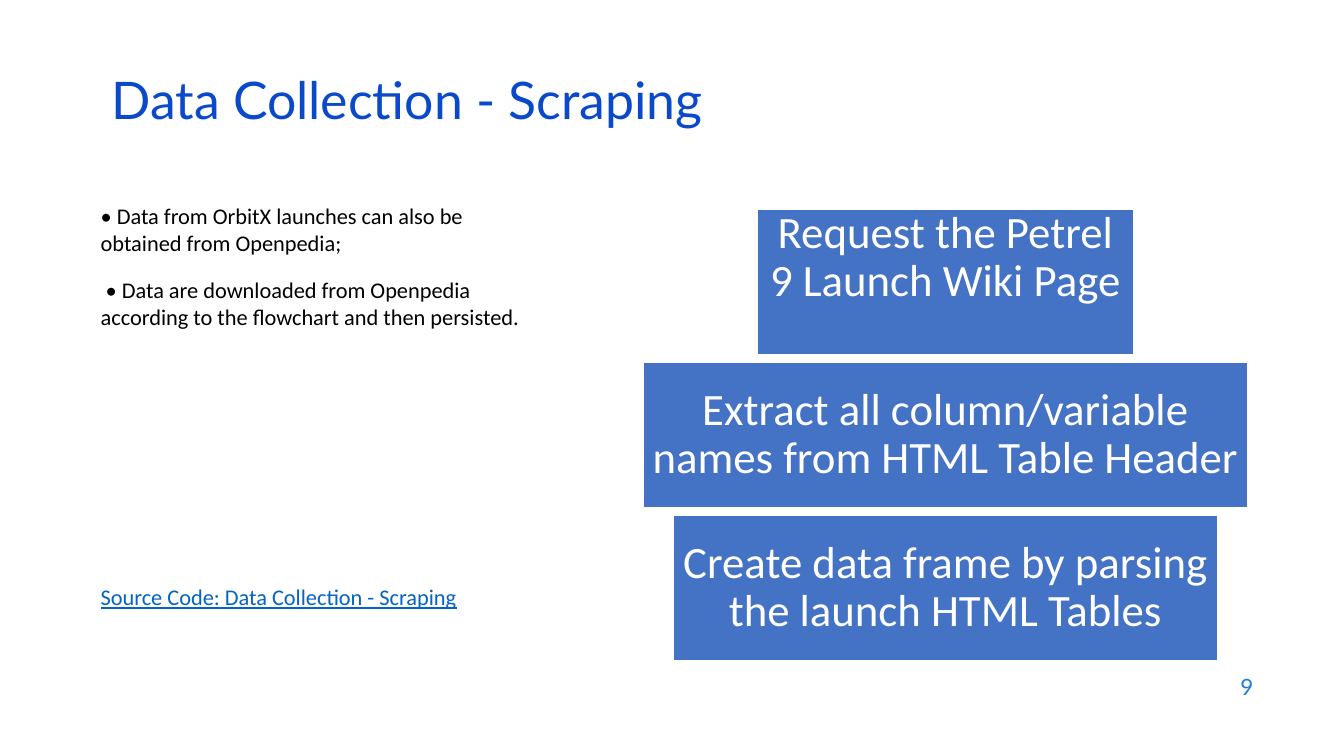
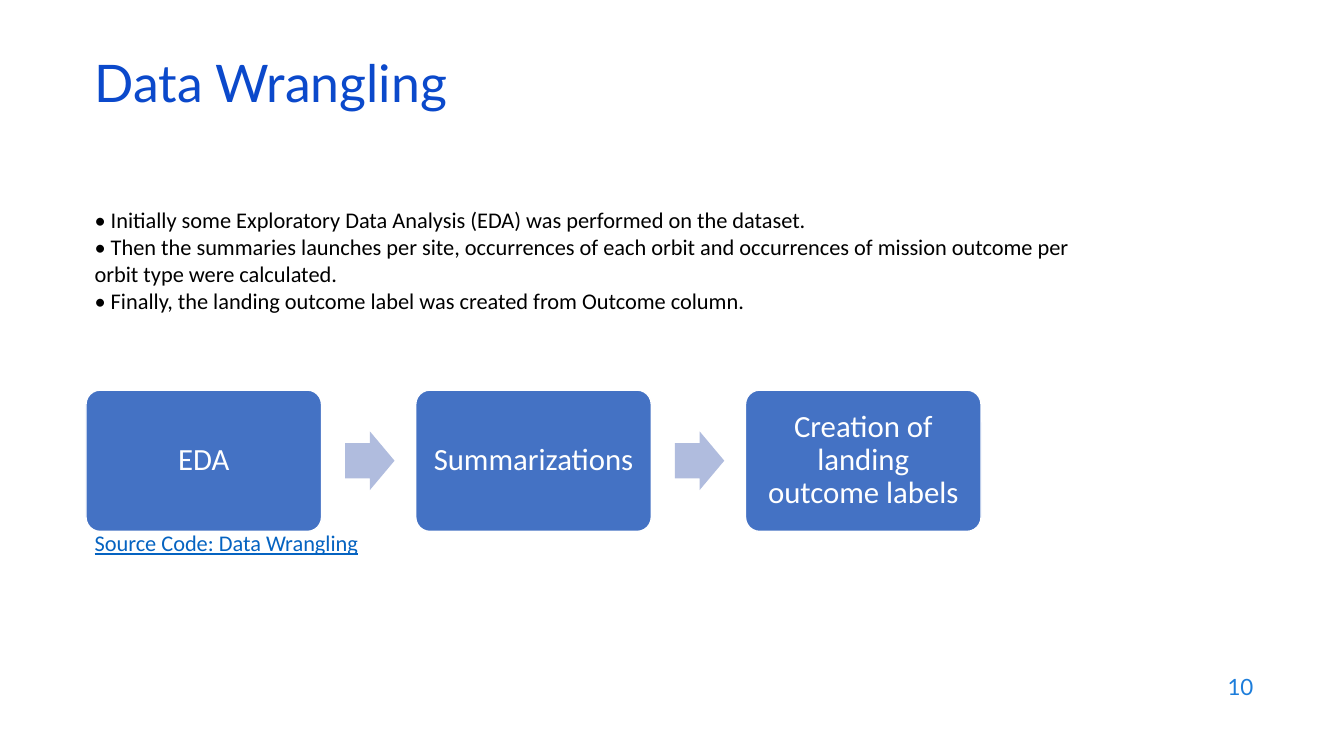
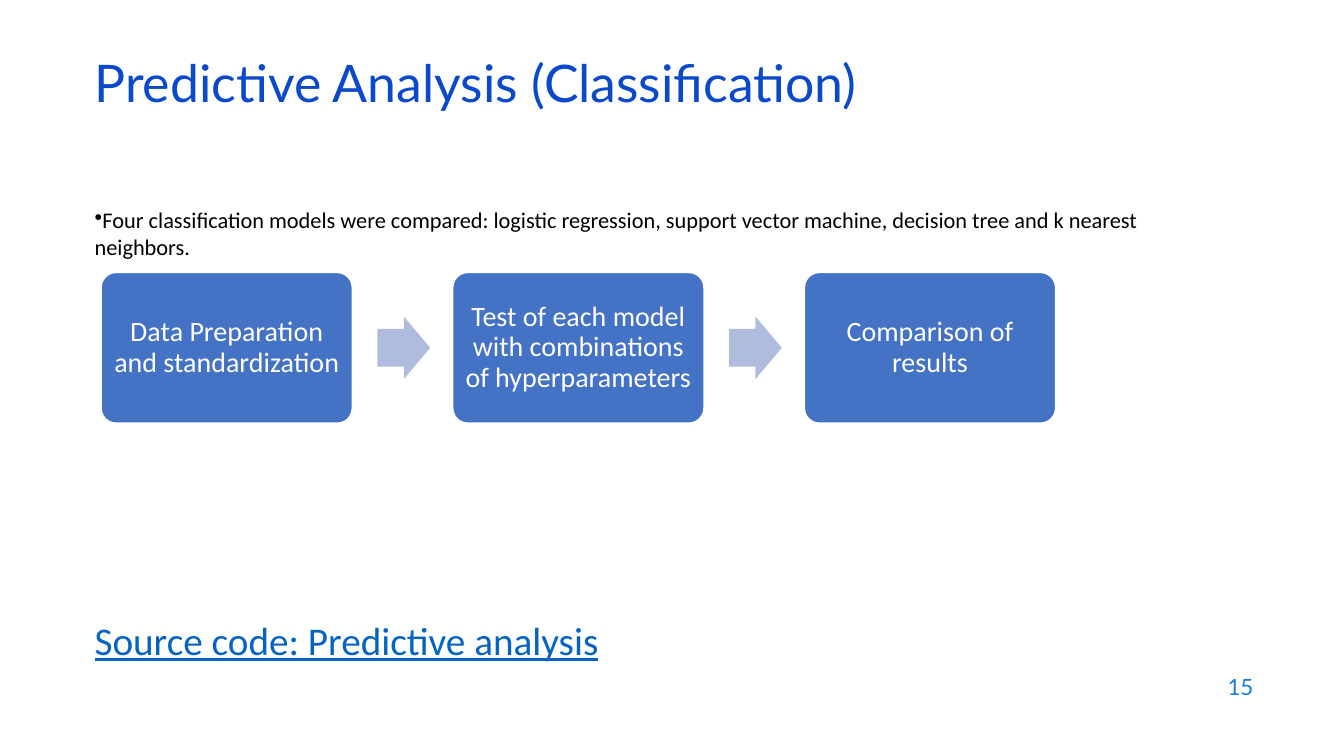
from pptx import Presentation
from pptx.dml.color import RGBColor as RGB
from pptx.enum.shapes import MSO_SHAPE as Kind
from pptx.enum.text import MSO_ANCHOR as Anchor, PP_ALIGN as Align
from pptx.oxml import parse_xml
from pptx.oxml.ns import nsdecls
from pptx.util import Inches, Pt

COLS, ROWS = 80, 45  # square grid cells on a 16:9 slide
INK = {
    "title": "0B49CB", "page": "1C7DDB", "text": "000000", "link": "0563C1",
    "box": "4472C4", "arrow": "B0BCDE", "white": "FFFFFF",
}


def write(frame, text, size=16, font="Calibri", ink="text", align=Align.LEFT,
          anchor=Anchor.TOP, lead=1.0, gap=0, line=False, dot=False, pad=None):
    """Fill a text frame, one paragraph for each line of text."""
    frame.word_wrap = True
    frame.vertical_anchor = anchor
    if pad is not None:
        frame.margin_left = frame.margin_right = Inches(pad)
        frame.margin_top = frame.margin_bottom = Inches(pad)
    for i, part in enumerate(text.split("\n")):
        par = frame.paragraphs[0] if i == 0 else frame.add_paragraph()
        if dot:
            props = par._p.get_or_add_pPr()
            props.set("marL", "0")
            props.set("indent", "0")
            props.append(parse_xml(f'<a:buChar {nsdecls("a")} char="•"/>'))
        par.alignment = align
        par.line_spacing = lead
        par.space_before = Pt(gap if i else 0)
        run = par.add_run()
        run.text = part
        run.font.size, run.font.name = Pt(size), font
        run.font.underline = line
        run.font.color.rgb = RGB.from_string(INK[ink])


class Deck:
    """Shared style and the current slide; lengths are grid cells."""

    def __init__(self):
        self.prs = Presentation()
        self.prs.slide_width, self.prs.slide_height = Inches(13.333), Inches(7.5)
        self.slide = None

    def place(self, x, y, w, h):
        wide, high = self.prs.slide_width / COLS, self.prs.slide_height / ROWS
        return [int(v) for v in (x * wide, y * high, w * wide, h * high)]

    def text(self, x, y, w, h, words, **style):
        area = self.slide.shapes.add_textbox(*self.place(x, y, w, h))
        write(area.text_frame, words, **style)

    def start(self, title, page, x=5.04, y=3.54):
        self.slide = self.prs.slides.add_slide(self.prs.slide_layouts[6])
        self.text(57.2, 39.55, 18, 2.65, page, font="Lato", ink="page",
                  align=Align.RIGHT, anchor=Anchor.MIDDLE)
        self.text(x, y, 69, 3.6, title, size=37, font="Lato", ink="title",
                  anchor=Anchor.MIDDLE, lead=0.7)

    def link(self, x, y, words, size=16):
        self.text(x, y, 45, size / 7, words, size=size, ink="link", line=True)

    def shape(self, kind, x, y, w, h, fill, *adjust):
        item = self.slide.shapes.add_shape(kind, *self.place(x, y, w, h))
        item.shadow.inherit = False
        item.fill.solid()
        item.fill.fore_color.rgb = RGB.from_string(INK[fill])
        item.line.fill.background()
        for i, value in enumerate(adjust):
            item.adjustments[i] = value
        return item

    def box(self, kind, x, y, w, h, words, size, *adjust, pad=0.09,
            anchor=Anchor.MIDDLE):
        item = self.shape(kind, x, y, w, h, "box", *adjust)
        item.line.color.rgb = RGB.from_string(INK["white"])
        item.line.width = Pt(1)
        write(item.text_frame, words, size=size, ink="white", lead=0.9,
              align=Align.CENTER, anchor=anchor, pad=pad)
        return item

    def stack(self, mid, y, h, step, steps):
        for i, (w, words, anchor) in enumerate(steps):
            item = self.box(Kind.RECTANGLE, mid - w / 2, y + i * step, w, h,
                            words, 32, anchor=anchor)
            if anchor == Anchor.TOP:
                item.text_frame.margin_top = 0

    def chain(self, x, y, w, size, pad, steps):
        """Rounded boxes with arrows between, all in proportion to w."""
        h, high = 0.6 * w, 0.25 * w
        for i, words in enumerate(steps):
            left = x + i * 1.4 * w
            if i:
                self.shape(Kind.RIGHT_ARROW, left - 0.3 * w, y + (h - high) / 2,
                           0.21 * w, high, "arrow", 0.6, 0.5)
            self.box(Kind.ROUNDED_RECTANGLE, left, y, w, h, words, size, 0.1,
                     pad=pad)


def main():
    deck = Deck()

    # Scraping: notes beside a stack of steps
    deck.start("Data Collection - Scraping", "9", x=6.06, y=4.56)
    deck.text(5.4, 11.76, 26.46, 10,
              "• Data from OrbitX launches can also be obtained from Openpedia;\n"
              " • Data are downloaded from Openpedia according to the flowchart "
              "and then persisted.", gap=14)
    deck.link(5.4, 34.4, "Source Code: Data Collection - Scraping")
    deck.stack(56.28, 12.48, 8.64, 9.1, [
        (22.44, "Request the Petrel 9 Launch Wiki Page", Anchor.TOP),
        (36, "Extract all column/variable names from HTML Table Header",
         Anchor.MIDDLE),
        (32.46, "Create data frame by parsing the launch HTML Tables",
         Anchor.MIDDLE),
    ])

    # Wrangling: notes above a chain of steps
    deck.start("Data Wrangling", "10")
    deck.text(5.04, 12, 59.6, 8,
              "• Initially some Exploratory Data Analysis (EDA) was performed "
              "on the dataset.\n"
              "• Then the summaries launches per site, occurrences of each orbit "
              "and occurrences of mission outcome per orbit type were calculated.\n"
              "• Finally, the landing outcome label was created from Outcome "
              "column.")
    deck.link(5.04, 31.2, "Source Code: Data Wrangling")
    deck.chain(5.12, 23.22, 14.02, 22, 0.09, [
        "EDA", "Summarizations", "Creation of landing outcome labels"])

    # Classification: one note, then the chain
    deck.start("Predictive Analysis (Classification)", "15")
    deck.text(5.04, 12, 63.96, 4,
              "Four classification models were compared: logistic regression, "
              "support vector machine, decision tree and k nearest neighbors.",
              dot=True)
    deck.link(5.04, 36.4, "Source code: Predictive analysis", size=28)
    deck.chain(6.02, 16.22, 14.95, 20, 0.08, [
        "Data Preparation and standardization",
        "Test of each model with combinations of hyperparameters",
        "Comparison of results"])

    deck.prs.save("out.pptx")


if __name__ == "__main__":
    main()
